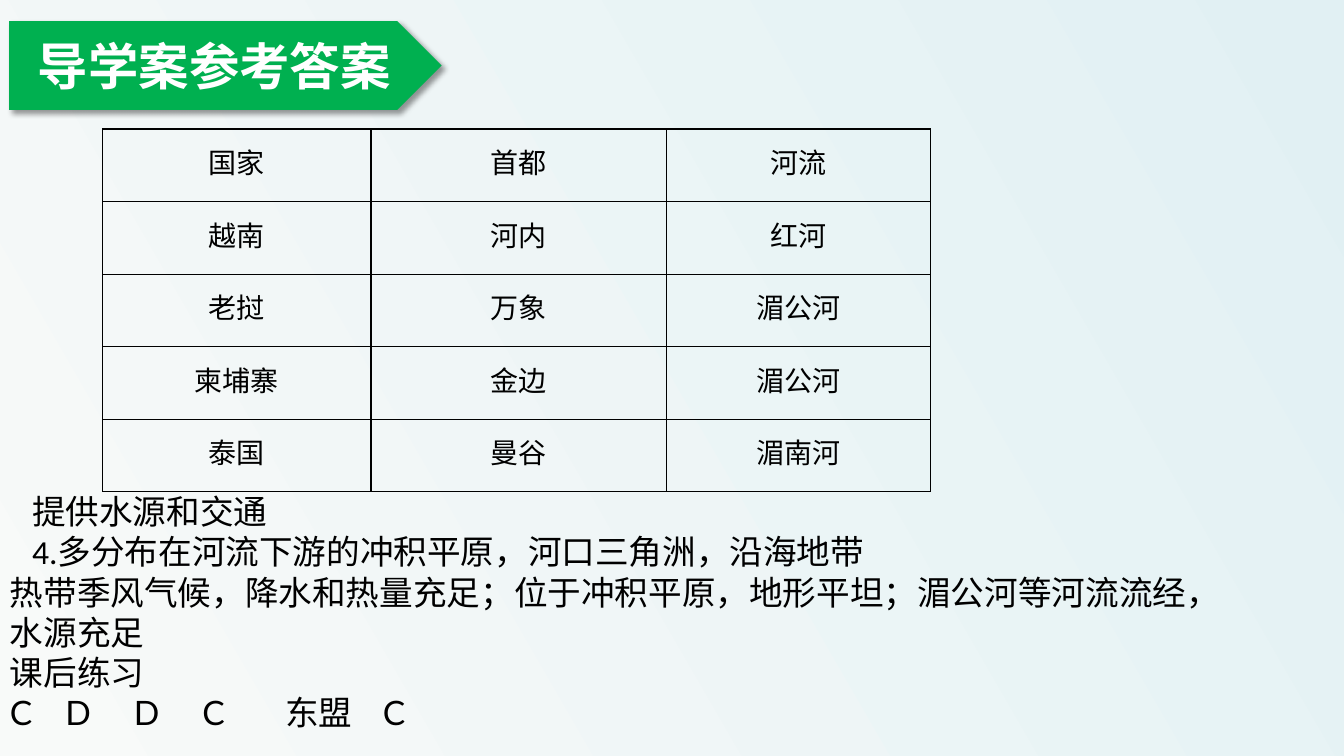
from lxml import etree
from pptx import Presentation
from pptx.dml.color import RGBColor
from pptx.enum.shapes import MSO_SHAPE
from pptx.enum.text import MSO_ANCHOR, MSO_AUTO_SIZE, PP_ALIGN
from pptx.oxml import parse_xml
from pptx.oxml.ns import nsdecls, qn
from pptx.util import Inches, Pt

COLORS = {
    "ink": "000000",
    "white": "FFFFFF",
    "banner": "00B050",
    "bg_start": "F8FAF9",
    "bg_end": "E1F0F3",
}


def color(name):
    return RGBColor.from_string(COLORS[name])


def write(paragraph, text, size, font="Calibri", ink="ink", bold=False,
          align=None, spacing=None, indent=0, tabs=()):
    props = paragraph._p.get_or_add_pPr()
    if indent:
        props.set("indent", str(Inches(indent)))
    if tabs:
        tab_list = etree.SubElement(props, qn("a:tabLst"))
        for stop in tabs:
            etree.SubElement(tab_list, qn("a:tab"), pos=str(Inches(stop)), algn="l")
    if align is not None:
        paragraph.alignment = align
    if spacing:
        paragraph.line_spacing = spacing
    run = paragraph.add_run()
    run.text = text
    run.font.size = Pt(size)
    run.font.name = font
    run.font.bold = bold
    run.font.color.rgb = color(ink)


prs = Presentation()
prs.slide_width, prs.slide_height = Inches(13.33), Inches(7.5)
slide = prs.slides.add_slide(prs.slide_layouts[6])

# Background gradient, rising to the right
background = slide.background.fill
background.gradient()
background.gradient_angle = 30
for stop, name in zip(background.gradient_stops, ("bg_start", "bg_end")):
    stop.color.rgb = color(name)

# Table of countries, capitals and rivers
COUNTRIES = [
    ("国家", "首都", "河流"),
    ("越南", "河内", "红河"),
    ("老挝", "万象", "湄公河"),
    ("柬埔寨", "金边", "湄公河"),
    ("泰国", "曼谷", "湄南河"),
]
countries = slide.shapes.add_table(
    len(COUNTRIES), 3, Inches(1.02), Inches(1.28), Inches(8.21), Inches(3.6)).table
countries.first_row = countries.horz_banding = False
for column, width in zip(countries.columns, (2.66, 2.93, 2.62)):
    column.width = Inches(width)
for row, entries in zip(countries.rows, COUNTRIES):
    row.height = Inches(0.72)
    for cell, entry in zip(row.cells, entries):
        cell.margin_left = cell.margin_right = Inches(0.07)
        cell.margin_top = cell.margin_bottom = 0
        cell.fill.background()
        for place, edge in enumerate(("lnL", "lnR", "lnT", "lnB")):
            cell._tc.tcPr.insert(place, parse_xml(
                f'<a:{edge} {nsdecls("a")} w="{Pt(1)}"><a:solidFill>'
                f'<a:srgbClr val="{COLORS["ink"]}"/></a:solidFill></a:{edge}>'))
        write(cell.text_frame.paragraphs[0], entry, 20,
              align=PP_ALIGN.CENTER, spacing=1.3)

# Answers below the table
ANSWERS = [
    ("提供水源和交通", {"indent": 0.22}),
    ("4.多分布在河流下游的冲积平原，河口三角洲，沿海地带", {"indent": 0.22}),
    ("热带季风气候，降水和热量充足；位于冲积平原，地形平坦；湄公河等河流流经，水源充足", {}),
    ("课后练习", {"font": "Lato"}),
    ("C\tD\tD\tC\t东盟\tC",
     {"font": "Lato", "tabs": (0.55, 1.23, 1.91, 2.73, 3.7)}),
]
answers = slide.shapes.add_textbox(
    0, Inches(4.82), Inches(12.47), Inches(3.74)).text_frame
answers.word_wrap = True
answers.auto_size = MSO_AUTO_SIZE.SHAPE_TO_FIT_TEXT
for number, (answer, look) in enumerate(ANSWERS):
    line = answers.add_paragraph() if number else answers.paragraphs[0]
    write(line, answer, 24, **look)

# Title banner with a soft shadow
banner = slide.shapes.add_shape(
    MSO_SHAPE.PENTAGON, Inches(0.09), Inches(0.21), Inches(4.29), Inches(0.88))
banner.fill.solid()
banner.fill.fore_color.rgb = color("banner")
banner.line.fill.background()
banner.shadow.inherit = False
effects = banner._element.spPr.find(qn("a:effectLst"))
effects.append(parse_xml(
    f'<a:outerShdw {nsdecls("a")} blurRad="{Pt(4)}" dist="{Pt(3)}" dir="{45 * 60000}" '
    f'algn="tl" rotWithShape="0"><a:srgbClr val="{COLORS["ink"]}">'
    '<a:alpha val="40000"/></a:srgbClr></a:outerShdw>'))
banner.text_frame.vertical_anchor = MSO_ANCHOR.MIDDLE
write(banner.text_frame.paragraphs[0], "导学案参考答案", 36, font="Arial",
      ink="white", bold=True, align=PP_ALIGN.CENTER)

prs.save("out.pptx")
